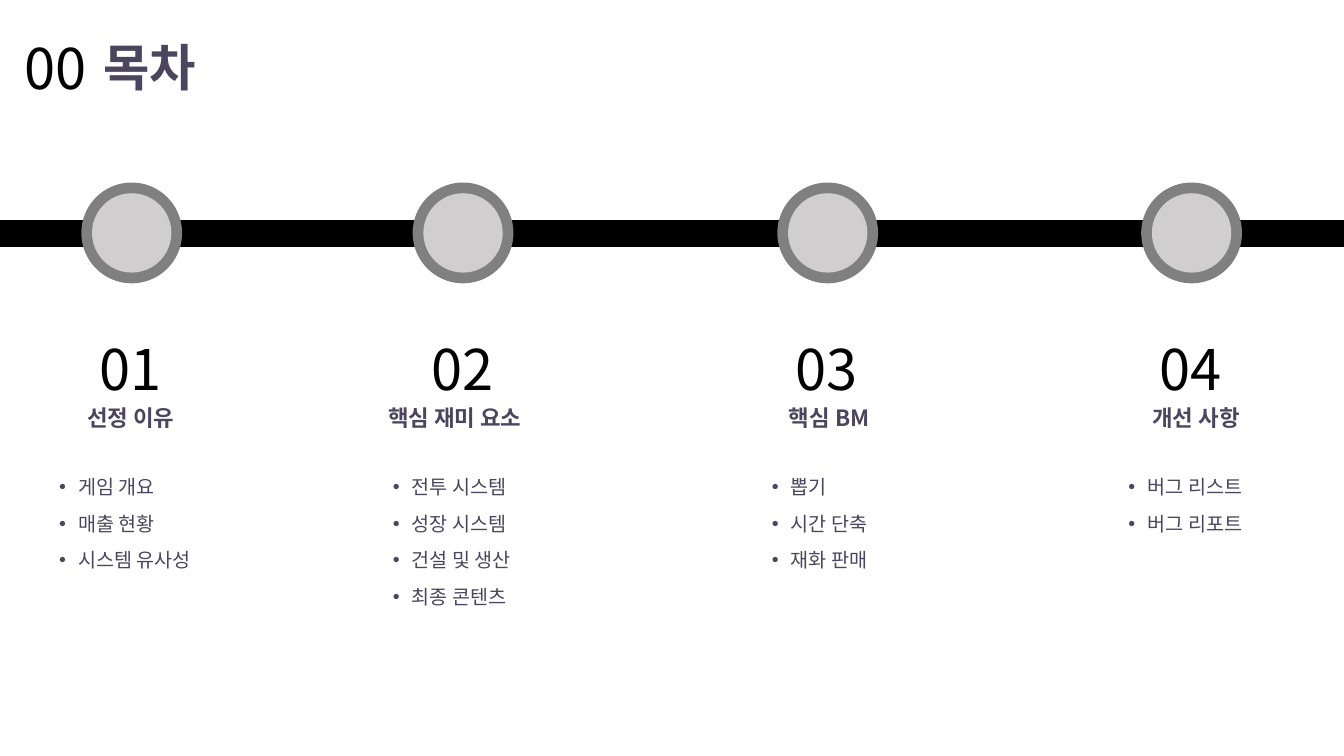
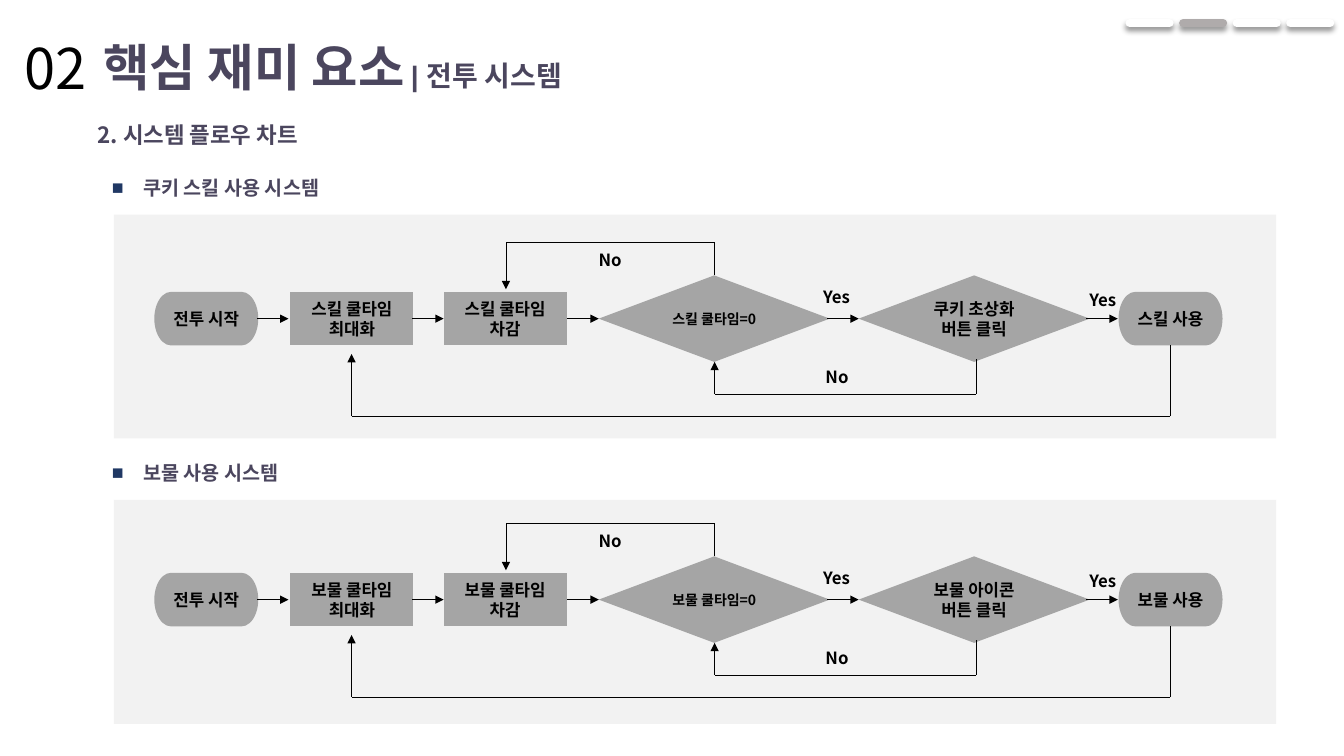
from dataclasses import dataclass
from itertools import pairwise
from typing import Any, Optional

from lxml.etree import SubElement
from pptx import Presentation
from pptx.dml.color import RGBColor
from pptx.enum.shapes import MSO_CONNECTOR as Connector, MSO_SHAPE as Preset
from pptx.enum.text import MSO_ANCHOR as Anchor, PP_ALIGN as Align
from pptx.oxml.ns import qn
from pptx.util import Cm, Pt

BLACK = RGBColor(0x00, 0x00, 0x00)
WHITE = RGBColor(0xFF, 0xFF, 0xFF)
INK = RGBColor(0x4B, 0x46, 0x5E)
NAVY = RGBColor(0x20, 0x38, 0x64)
RING_GRAY = RGBColor(0x80, 0x80, 0x80)
DISC_GRAY = RGBColor(0xD0, 0xCE, 0xCE)
PANEL_GRAY = RGBColor(0xF2, 0xF2, 0xF2)
NODE_GRAY = RGBColor(0xA5, 0xA5, 0xA5)
TAB_GRAY = RGBColor(0xAF, 0xAB, 0xAB)

BODY_FONT = "Noto Sans CJK KR"
TITLE_FONT = "Arial"
SLIDE_WIDTH, SLIDE_HEIGHT = 33.87, 19.05
LINE_PITCH = 1.2  # line height as a share of the font size


@dataclass(frozen=True)
class Box:
    """Left, top, width and height in centimetres."""
    left: float
    top: float
    width: float
    height: float

    def lengths(self) -> tuple:
        return Cm(self.left), Cm(self.top), Cm(self.width), Cm(self.height)


@dataclass(frozen=True)
class Style:
    size: float
    color: RGBColor = INK
    bold: bool = False
    name: str = BODY_FONT
    align: Align = Align.LEFT
    spacing: float = 1.0


@dataclass(frozen=True)
class Bullet:
    char: str
    indent: float
    color: Optional[RGBColor] = None


@dataclass(frozen=True)
class Chapter:
    number: str
    title: str
    topics: tuple[str, ...]
    axis: float
    title_left: float
    title_width: float
    topics_left: float
    title_align: Align = Align.CENTER


@dataclass(frozen=True)
class Node:
    preset: Preset
    left: float
    width: float
    height: float
    size: float = 12


@dataclass(frozen=True)
class Label:
    text: str
    left: float
    offset: float
    width: float


@dataclass(frozen=True)
class Flow:
    title: str
    panel_top: float
    axis: float
    texts: tuple[str, ...]


NUMBER = Style(40, BLACK, align=Align.CENTER)
TITLE = Style(36, bold=True, name=TITLE_FONT)
SUBTITLE = Style(20, bold=True, name=TITLE_FONT)
HEADING = Style(16, bold=True)
TOPIC = Style(14, spacing=1.2)
FLOW_TITLE = Style(14, bold=True, spacing=1.2)
FLOW_LABEL = Style(12, BLACK, True, align=Align.CENTER)
DOT = Bullet("•", 0.48)
SQUARE = Bullet("■", 0.79, NAVY)

CHAPTERS = (
    Chapter("01", "선정 이유", ("게임 개요", "매출 현황", "시스템 유사성"),
            3.32, 1.68, 3.23, 1.24),
    Chapter("02", "핵심 재미 요소",
            ("전투 시스템", "성장 시스템", "건설 및 생산", "최종 콘텐츠"),
            11.67, 9.53, 4.32, 9.65, Align.LEFT),
    Chapter("03", "핵심 BM", ("뽑기", "시간 단축", "재화 판매"),
            20.86, 19.51, 2.77, 19.2),
    Chapter("04", "개선 사항", ("버그 리스트", "버그 리포트"),
            30.03, 28.19, 3.91, 28.19),
)

NODES = (
    Node(Preset.FLOWCHART_TERMINATOR, 3.89, 2.62, 1.35),
    Node(Preset.FLOWCHART_PROCESS, 7.32, 3.1, 1.35),
    Node(Preset.FLOWCHART_PROCESS, 11.18, 3.1, 1.35),
    Node(Preset.FLOWCHART_DECISION, 15.09, 5.82, 2.18, 10),
    Node(Preset.FLOWCHART_DECISION, 21.64, 5.82, 2.18),
    Node(Preset.FLOWCHART_TERMINATOR, 28.19, 2.62, 1.35),
)
ARROW_LENGTH = 0.79
ARROW_STARTS = (6.48, 10.39, 14.3, 20.85, 27.38)
# Return paths as (x, offset from the flow axis)
RETURN_PATHS = (
    ((18.01, -1.09), (18.01, -1.91), (12.75, -1.91), (12.75, -0.74)),
    ((24.6, 1.02), (24.6, 1.9), (18.01, 1.9), (18.01, 1.09)),
    ((29.49, 0.66), (29.49, 2.46), (8.86, 2.46), (8.86, 0.89)),
)
LABELS = (
    Label("No", 14.78, -1.85, 1.19),
    Label("Yes", 20.42, -0.94, 1.32),
    Label("Yes", 27.13, -0.86, 1.32),
    Label("No", 20.5, 1.09, 1.19),
)
FLOWS = (
    Flow("쿠키 스킬 사용 시스템", 5.41, 8.03,
         ("전투 시작", "스킬 쿨타임 최대화", "스킬 쿨타임 차감", "스킬 쿨타임=0",
          "쿠키 초상화 버튼 클릭", "스킬 사용")),
    Flow("보물 사용 시스템", 12.6, 15.11,
         ("전투 시작", "보물 쿨타임 최대화", "보물 쿨타임 차감", "보물 쿨타임=0",
          "보물 아이콘 버튼 클릭", "보물 사용")),
)


def add_run(paragraph: Any, text: str, style: Style) -> None:
    run = paragraph.add_run()
    run.text = text
    values = {"size": Pt(style.size), "bold": style.bold, "name": style.name}
    for attribute, value in values.items():
        setattr(run.font, attribute, value)
    run.font.color.rgb = style.color
    SubElement(run.font._element, qn("a:ea"), typeface=BODY_FONT)


def add_bullet(paragraph: Any, bullet: Bullet) -> None:
    properties = paragraph._p.get_or_add_pPr()
    properties.set("marL", str(Cm(bullet.indent)))
    properties.set("indent", str(-Cm(bullet.indent)))
    if bullet.color is not None:
        color = SubElement(properties, qn("a:buClr"))
        SubElement(color, qn("a:srgbClr"), val=str(bullet.color))
    SubElement(properties, qn("a:buFont"), typeface="Arial")
    SubElement(properties, qn("a:buChar"), char=bullet.char)


def write(shape: Any, lines: tuple[str, ...], style: Style,
          bullet: Optional[Bullet] = None, wrap: bool = True,
          anchor: Anchor = Anchor.TOP) -> Any:
    """Fill the shape with one paragraph a line and return the last one."""
    frame = shape.text_frame
    frame.word_wrap = wrap
    frame.vertical_anchor = anchor
    for index, line in enumerate(lines):
        paragraph = frame.add_paragraph() if index else frame.paragraphs[0]
        if bullet is not None:
            add_bullet(paragraph, bullet)
        values = {
            "alignment": style.align,
            "line_spacing": Pt(style.size * LINE_PITCH * style.spacing),
            "space_before": Pt(6 if index else 0),
        }
        for attribute, value in values.items():
            setattr(paragraph, attribute, value)
        add_run(paragraph, line, style)
    return paragraph


def add_text(slide: Any, box: Box, lines: tuple[str, ...], style: Style,
             bullet: Optional[Bullet] = None, wrap: bool = True) -> Any:
    textbox = slide.shapes.add_textbox(*box.lengths())
    return write(textbox, lines, style, bullet, wrap)


def add_filled(slide: Any, preset: Preset, box: Box, color: RGBColor) -> Any:
    """Add a preset shape with a flat fill and no outline."""
    shape = slide.shapes.add_shape(preset, *box.lengths())
    shape.shadow.inherit = False
    shape.fill.solid()
    shape.fill.fore_color.rgb = color
    shape.line.fill.background()
    return shape


def add_line(slide: Any, start: tuple[float, float], end: tuple[float, float],
             color: RGBColor = BLACK, width: float = 0.5,
             arrow: bool = False) -> Any:
    """Add a straight connector and return its empty effect list."""
    line = slide.shapes.add_connector(
        Connector.STRAIGHT, *(Cm(value) for value in (*start, *end)))
    line.line.color.rgb = color
    line.line.width = Pt(width)
    if arrow:
        SubElement(line.line._get_or_add_ln(), qn("a:tailEnd"), type="triangle")
    return line, SubElement(line._element.spPr, qn("a:effectLst"))


def add_title(slide: Any, number: str, title: str, subtitle: str = "") -> None:
    add_text(slide, Box(0.23, 0.71, 2.34, 1.96), (number,), NUMBER, wrap=False)
    paragraph = add_text(slide, Box(2.36, 0.79, 16.36, 1.8), (title,), TITLE)
    if subtitle:
        add_run(paragraph, f" | {subtitle}", SUBTITLE)


def add_tabs(slide: Any, current: int) -> None:
    """Draw the chapter marks at the top right."""
    for index in range(len(CHAPTERS)):
        left = 28.47 + 1.35 * index
        color = TAB_GRAY if index == current else WHITE
        tab, effects = add_line(slide, (left, 0.58), (left + 1, 0.58), color, 6)
        tab.line._get_or_add_ln().set("cap", "rnd")
        shadow = SubElement(effects, qn("a:outerShdw"), blurRad=str(Pt(4)),
                            dist=str(Pt(3)), dir="5400000", algn="t",
                            rotWithShape="0")
        shade = SubElement(shadow, qn("a:srgbClr"), val=str(BLACK))
        SubElement(shade, qn("a:alpha"), val="40000")


def add_chapter(slide: Any, chapter: Chapter) -> None:
    add_text(slide, Box(chapter.axis - 1.19, 8.31, 2.34, 1.96),
             (chapter.number,), NUMBER, wrap=False)
    heading = add_filled(slide, Preset.RECTANGLE,
                         Box(chapter.title_left, 10.06, chapter.title_width, 0.94),
                         WHITE)
    write(heading, (chapter.title,),
          Style(16, bold=True, align=chapter.title_align))
    add_text(slide, Box(chapter.topics_left, 11.73, 4.14, 3.7),
             chapter.topics, TOPIC, DOT)
    for diameter, color in ((2.54, RING_GRAY), (2, DISC_GRAY)):
        add_filled(slide, Preset.OVAL,
                   Box(chapter.axis - diameter / 2, 5.87 - diameter / 2,
                       diameter, diameter), color)


def add_flow(slide: Any, flow: Flow) -> None:
    add_filled(slide, Preset.RECTANGLE,
               Box(2.87, flow.panel_top, 29.29, 5.64), PANEL_GRAY)
    add_text(slide, Box(2.57, flow.panel_top - 1.22, 6.4, 0.91),
             (flow.title,), FLOW_TITLE, SQUARE)
    for node, text in zip(NODES, flow.texts):
        box = Box(node.left, flow.axis - node.height / 2, node.width, node.height)
        shape = add_filled(slide, node.preset, box, NODE_GRAY)
        write(shape, (text,), Style(node.size, BLACK, True, align=Align.CENTER),
              anchor=Anchor.MIDDLE)
    for start in ARROW_STARTS:
        add_line(slide, (start, flow.axis), (start + ARROW_LENGTH, flow.axis),
                 arrow=True)
    for points in RETURN_PATHS:
        corners = [(x, flow.axis + offset) for x, offset in points]
        for start, end in pairwise(corners):
            add_line(slide, start, end, arrow=end == corners[-1])
    for label in LABELS:
        add_text(slide, Box(label.left, flow.axis + label.offset, label.width, 0.78),
                 (label.text,), FLOW_LABEL)


def build_contents(slide: Any) -> None:
    add_title(slide, "00", "목차")
    band = add_filled(slide, Preset.RECTANGLE,
                      Box(0, 5.56, SLIDE_WIDTH, 0.64), BLACK)
    band.line.color.rgb = BLACK
    band.line.width = Pt(1)
    for chapter in CHAPTERS:
        add_chapter(slide, chapter)


def build_flow_charts(slide: Any) -> None:
    add_title(slide, "02", "핵심 재미 요소", "전투 시스템")
    add_text(slide, Box(2.21, 2.92, 6.4, 0.94), ("2. 시스템 플로우 차트",), HEADING)
    for flow in FLOWS:
        add_flow(slide, flow)
    add_tabs(slide, current=1)


def main() -> None:
    presentation = Presentation()
    presentation.slide_width = Cm(SLIDE_WIDTH)
    presentation.slide_height = Cm(SLIDE_HEIGHT)
    blank = presentation.slide_layouts[6]
    for build in (build_contents, build_flow_charts):
        build(presentation.slides.add_slide(blank))
    presentation.save("out.pptx")


if __name__ == "__main__":
    main()
